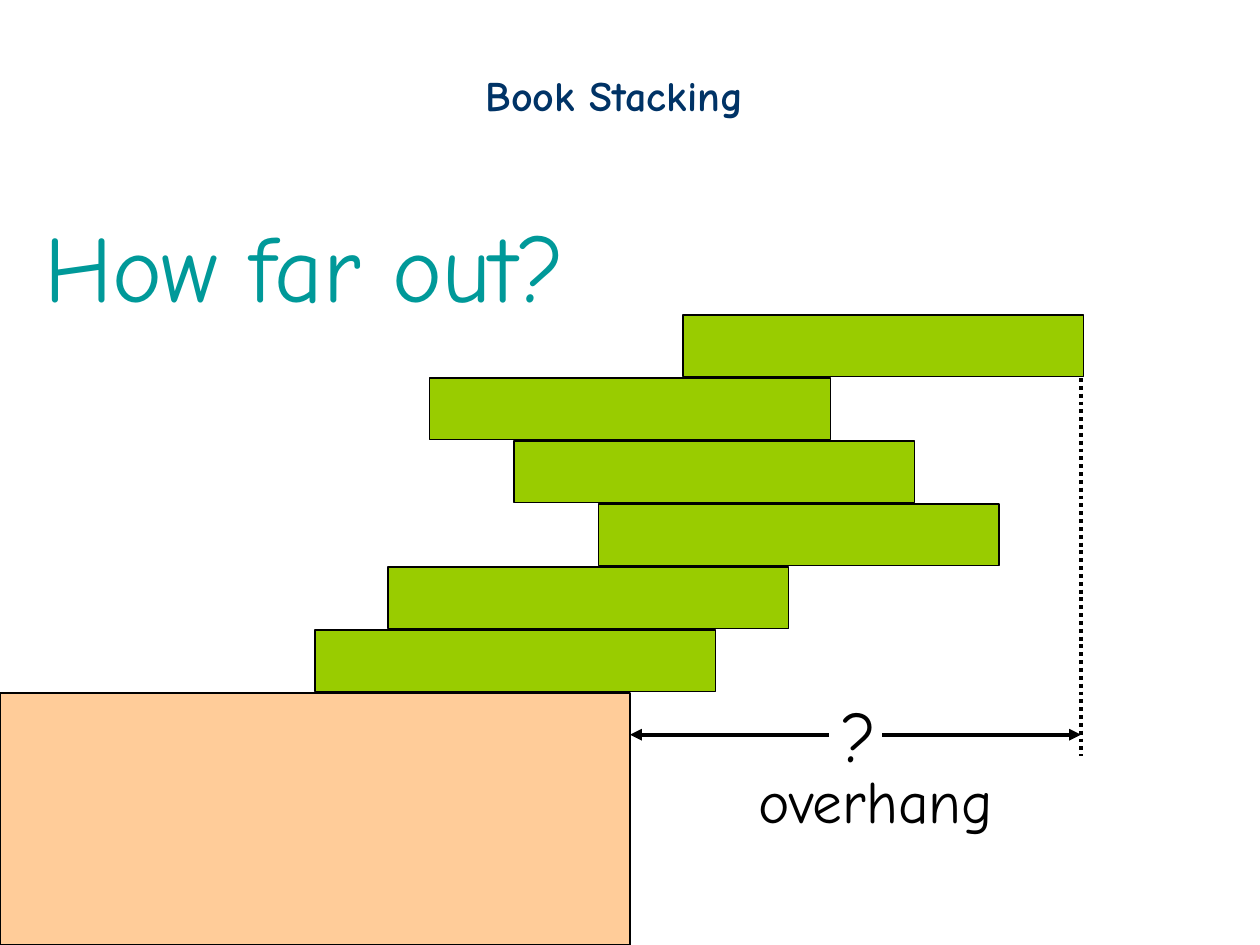
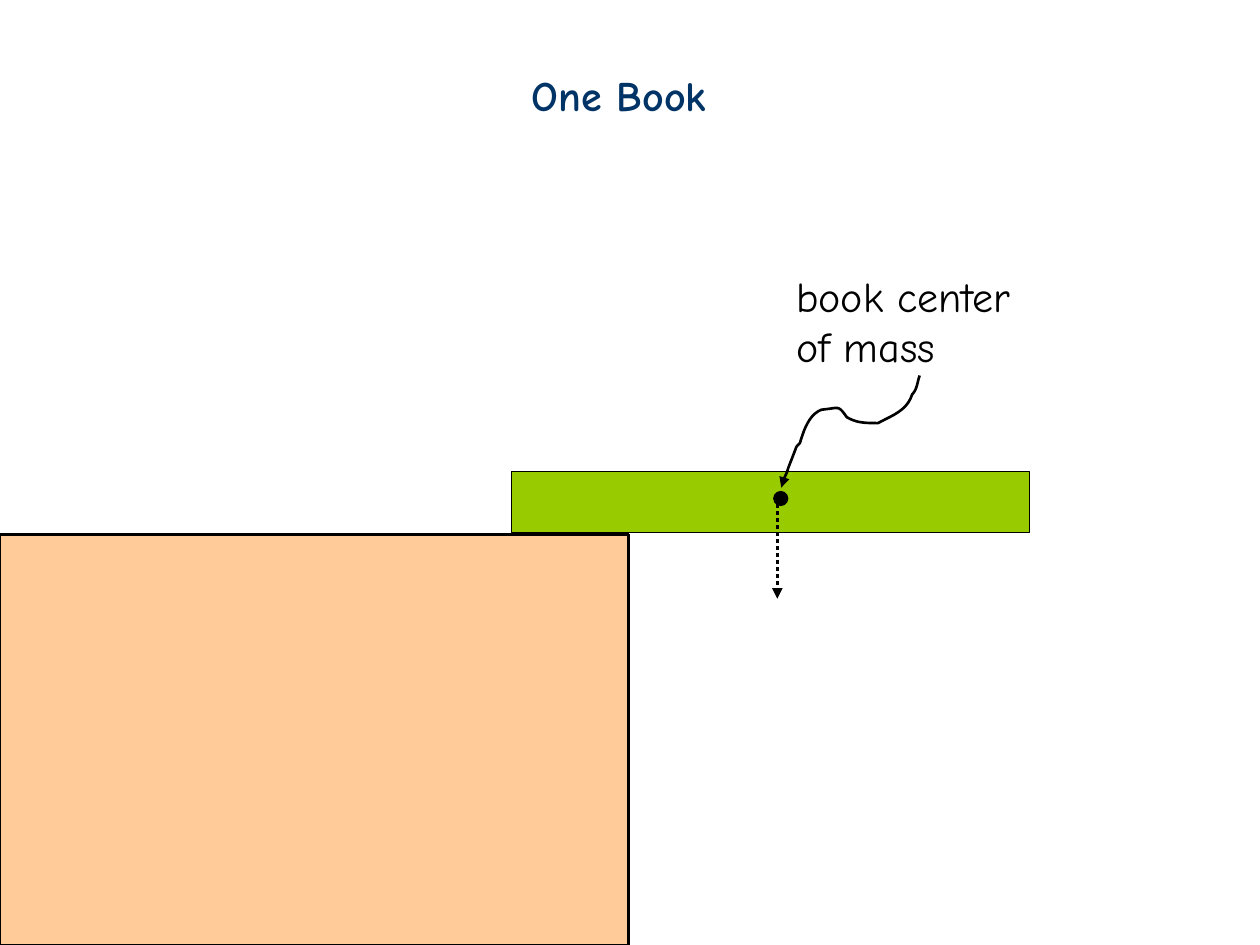
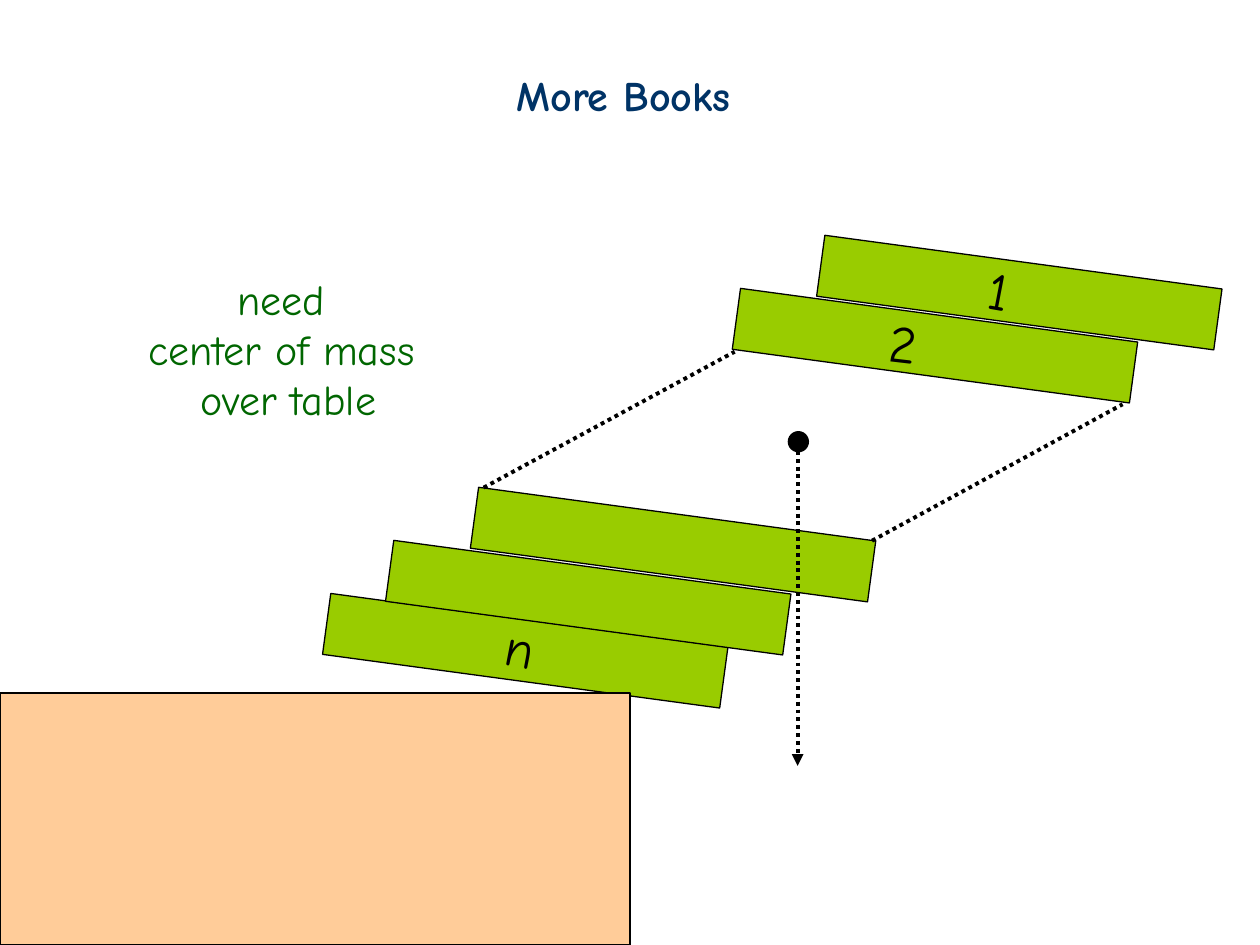
from dataclasses import dataclass
from typing import NamedTuple

from pptx import Presentation
from pptx import util as u
from pptx.dml import color
from pptx.enum import dml, shapes, text
from pptx.oxml import ns, xmlchemy


@dataclass(frozen=True)
class Theme:
    font: str = "Comic Neue"
    ink: str = "000000"
    title: str = "003366"
    headline: str = "009999"
    note: str = "006600"
    book: str = "99CC00"
    table: str = "FFCC99"
    headline_size: float = 54
    question_size: float = 40
    overhang_size: float = 34
    number_size: float = 30
    body_size: float = 24
    thin: float = 0.75
    medium: float = 1.5
    dotted: float = 2
    thick: float = 2.25


THEME = Theme()


class Box(NamedTuple):
    """Left, top, width and height in centimetres."""
    left: float
    top: float
    width: float
    height: float

    def lengths(self):
        return [u.Cm(value) for value in self]


class Point(NamedTuple):
    x: float
    y: float


@dataclass(frozen=True)
class Book:
    left: float
    top: float
    width: float = 8.08
    tilt: float = 0

    def draw(self, page) -> None:
        book = add_solid(page, Box(self.left, self.top, self.width, BOOK_HEIGHT), THEME.book)
        book.rotation = self.tilt


@dataclass(frozen=True)
class BookNumber:
    words: str
    box: Box
    tilt: float


# Shared measures
BOOK_HEIGHT = 1.24
TABLE = Box(0, 13.97, 12.7, 5.08)
BOOK_TILT = 7.7


# Drawing functions
def rgb(value: str) -> color.RGBColor:
    return color.RGBColor.from_string(value)


def write(shape, words: str, *, size: float = THEME.body_size, ink: str = THEME.ink,
          bold: bool = False, align=text.PP_ALIGN.LEFT, wrap: bool = False,
          grow: bool = True) -> None:
    """Fill a shape with one paragraph per line of words."""
    frame = shape.text_frame
    frame.text = words
    frame.word_wrap = wrap
    frame.vertical_anchor = text.MSO_ANCHOR.TOP
    frame.auto_size = (text.MSO_AUTO_SIZE.SHAPE_TO_FIT_TEXT if grow
                       else text.MSO_AUTO_SIZE.NONE)
    for para in frame.paragraphs:
        para.alignment = align
        for span in para.runs:
            span.font.name = THEME.font
            span.font.size = u.Pt(size)
            span.font.bold = bold
            span.font.color.rgb = rgb(ink)


def add_text(page, box: Box, words: str, tilt: float = 0, **style):
    label = page.shapes.add_textbox(*box.lengths())
    label.rotation = tilt
    write(label, words, **style)
    return label


def add_page(deck, title: str, left: float, width: float):
    page = deck.slides.add_slide(deck.slide_layouts.get_by_name("Title Only"))
    heading = page.shapes.title
    heading.left, heading.top, heading.width, heading.height = Box(left, 1.27, width, 1.27).lengths()
    write(heading, title, ink=THEME.title, bold=True, wrap=True)
    return page


def add_solid(page, box: Box, fill: str, kind=shapes.MSO_SHAPE.RECTANGLE):
    solid = page.shapes.add_shape(kind, *box.lengths())
    solid.shadow.inherit = False
    solid.fill.solid()
    solid.fill.fore_color.rgb = rgb(fill)
    solid.line.color.rgb = rgb(THEME.ink)
    solid.line.width = u.Pt(THEME.thin)
    return solid


def add_dot(page, left: float, top: float, size: float):
    return add_solid(page, Box(left, top, size, size), THEME.ink, shapes.MSO_SHAPE.OVAL)


def style_line(shape, width: float, dotted: bool, arrow: bool) -> None:
    shape.line.color.rgb = rgb(THEME.ink)
    shape.line.width = u.Pt(width)
    if dotted:
        shape.line.dash_style = dml.MSO_LINE.ROUND_DOT
    if arrow:
        outline = shape.element.spPr.find(ns.qn("a:ln"))
        outline.append(xmlchemy.OxmlElement("a:tailEnd"))
        outline[-1].set("type", "triangle")


def add_line(page, start: Point, end: Point, *, width: float = THEME.thick,
             dotted: bool = False, arrow: bool = False):
    line = page.shapes.add_connector(
        shapes.MSO_CONNECTOR.STRAIGHT, *[u.Cm(value) for value in (*start, *end)])
    style_line(line, width, dotted, arrow)
    line.element.spPr.append(xmlchemy.OxmlElement("a:effectLst"))
    return line


def add_curved_arrow(page, knots: list[Point], steps: int = 10) -> None:
    """Trace joined cubic curves; each takes two handles and an end point."""
    trace = []
    for first in range(0, len(knots) - 1, 3):
        curve = knots[first:first + 4]
        for step in range(1, steps + 1):
            t = step / steps
            weights = ((1 - t) ** 3, 3 * t * (1 - t) ** 2, 3 * t ** 2 * (1 - t), t ** 3)
            trace.append([u.Cm(sum(w * knot[axis] for w, knot in zip(weights, curve)))
                          for axis in (0, 1)])
    builder = page.shapes.build_freeform(u.Cm(knots[0].x), u.Cm(knots[0].y))
    builder.add_line_segments(trace, close=False)
    arrow = builder.convert_to_shape()
    arrow.shadow.inherit = False
    arrow.fill.background()
    style_line(arrow, THEME.medium, dotted=False, arrow=True)


# Slides
def build_stacking(deck) -> None:
    page = add_page(deck, "Book Stacking", 9.53, 6.25)
    add_solid(page, TABLE, THEME.table)
    for level, left in enumerate((6.35, 7.82, 12.06, 10.36, 8.66, 13.77)):
        Book(left, 12.7 - 1.27 * level).draw(page)
    add_text(page, Box(0.64, 4.06, 12.17, 2.54), "How far out?",
             size=THEME.headline_size, ink=THEME.headline)

    # Overhang measure
    edge, level = 21.79, 14.81
    add_line(page, Point(edge, 7.62), Point(edge, 15.24), dotted=True)
    question = add_text(page, Box(16.71, 13.83, 1.24, 1.96), "?",
                        size=THEME.question_size, wrap=True, grow=False)
    to_table = add_line(page, Point(16.71, level), Point(TABLE.width, level), arrow=True)
    to_table.begin_connect(question, 1)
    add_line(page, Point(17.78, level), Point(edge, level), arrow=True)
    add_text(page, Box(15.04, 15.27, 5.54, 1.7), "overhang", size=THEME.overhang_size)


def build_one_book(deck) -> None:
    page = add_page(deck, "One Book", 10.46, 4.34)
    table = Box(0, 10.77, 12.67, 8.28)
    corner = Point(table.width, table.top)
    add_solid(page, table, THEME.table)
    add_line(page, Point(0, table.top), corner, width=THEME.medium)
    add_line(page, corner, Point(corner.x, 19.05), width=THEME.medium)
    Book(10.31, 9.5, width=10.44).draw(page)

    # Centre of mass
    add_dot(page, 15.6, 9.91, 0.28)
    add_curved_arrow(page, [Point(*pair) for pair in (
        (18.54, 7.57),
        (18.49, 7.72), (18.49, 7.85), (18.39, 7.95),
        (18.29, 8.28), (17.98, 8.38), (17.7, 8.53),
        (17.45, 8.53), (17.27, 8.53), (17.07, 8.41),
        (16.89, 8.15), (16.92, 8.23), (16.56, 8.26),
        (16.31, 8.36), (16.21, 8.66), (16.13, 8.92),
        (16.13, 8.94), (16.08, 8.97), (16.05, 9.02),
        (16, 9.17), (15.93, 9.32), (15.88, 9.47),
        (15.85, 9.6), (15.75, 9.7), (15.75, 9.83))])
    add_text(page, Box(15.8, 5.33, 5.59, 2.29), "book center\nof mass", wrap=True)
    add_line(page, Point(15.67, 10.16), Point(15.67, 12.07),
             width=THEME.dotted, dotted=True, arrow=True)


def build_more_books(deck) -> None:
    page = add_page(deck, "More Books", 10.16, 5.23)
    lowest, *upper = [Book(left, top, tilt=BOOK_TILT) for left, top in (
        (6.55, 12.5), (7.82, 11.43), (9.53, 10.36), (14.81, 6.35), (16.51, 5.28))]
    lowest.draw(page)
    add_solid(page, TABLE, THEME.table)
    for book in upper:
        book.draw(page)

    # Books left out of the stack
    add_line(page, Point(9.75, 9.83), Point(14.81, 7.09), dotted=True)
    add_line(page, Point(17.58, 10.9), Point(22.63, 8.15), dotted=True)

    # Centre of mass
    add_dot(page, 15.88, 8.69, 0.43).line.fill.background()
    add_line(page, Point(16.08, 9.09), Point(16.08, 15.44), dotted=True, arrow=True)
    add_text(page, Box(2.49, 5.38, 6.65, 3.3), "need \ncenter of mass \nover table",
             ink=THEME.note, align=text.PP_ALIGN.CENTER)

    # Book numbers
    for number in (BookNumber("1", Box(19.69, 5.08, 0.99, 1.52), 10),
                   BookNumber("2", Box(17.68, 6.15, 1.14, 1.52), 6.7),
                   BookNumber("n", Box(9.96, 12.27, 1.07, 1.52), 11)):
        add_text(page, number.box, number.words, number.tilt, size=THEME.number_size)


def main() -> None:
    deck = Presentation()
    deck.slide_width, deck.slide_height = u.Cm(25.4), u.Cm(19.05)
    for build in (build_stacking, build_one_book, build_more_books):
        build(deck)
    deck.save("out.pptx")


if __name__ == "__main__":
    main()
